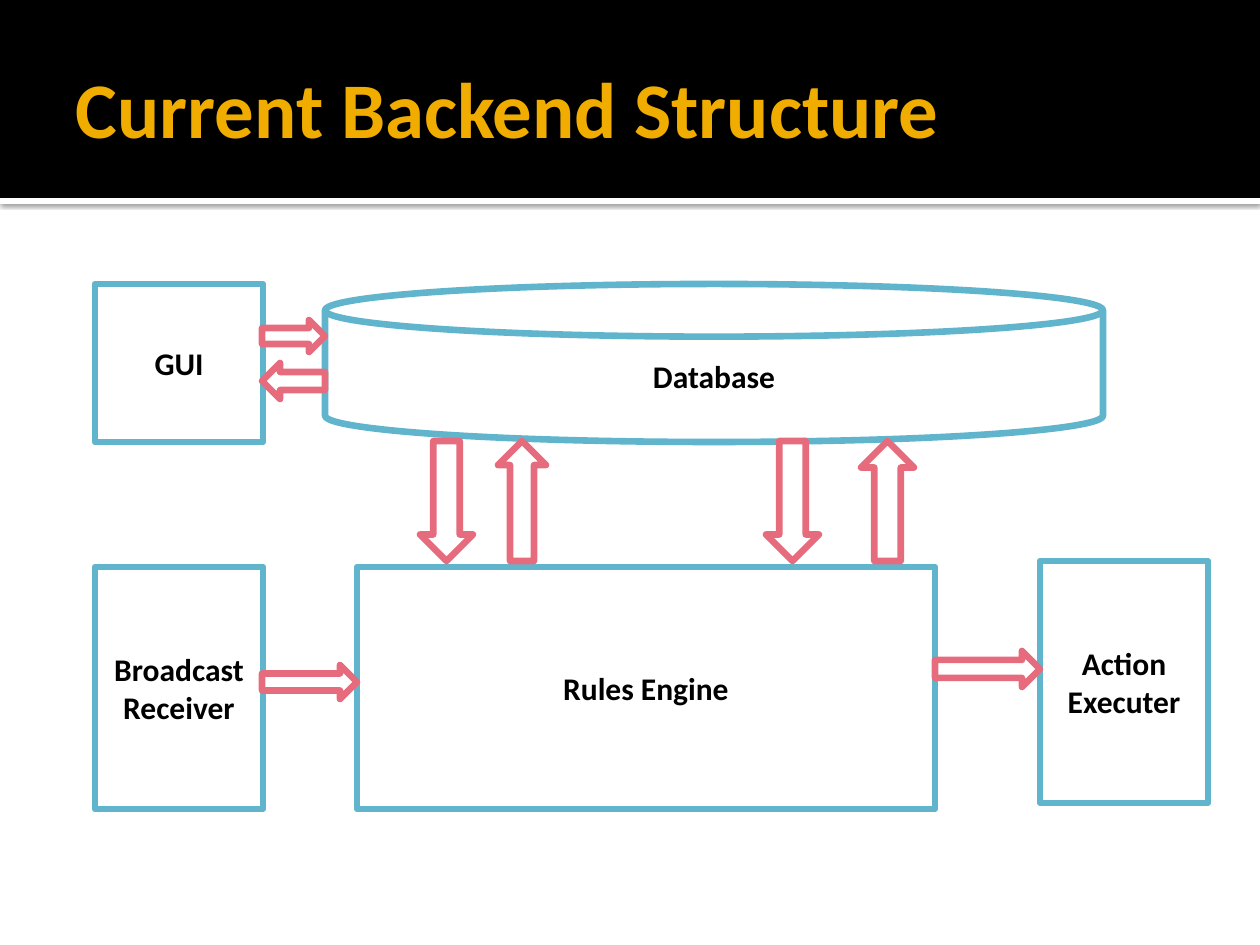
from lxml.etree import SubElement
from pptx import Presentation
from pptx.dml.color import RGBColor
from pptx.enum.shapes import MSO_SHAPE
from pptx.enum.text import MSO_ANCHOR, MSO_AUTO_SIZE, PP_ALIGN
from pptx.oxml.ns import qn
from pptx.util import Emu, Pt

EMU_PER_PX = 914400 / 126
COLORS = {
    "black": "000000",
    "white": "FFFFFF",
    "gold": "F0AD00",
    "blue": "60B5CC",
    "pink": "E66C7D",
}
FONT = "Calibri"
TITLE_ONLY = 5

# Label, preset, (left, top, width, height)
COMPONENTS = [
    ("GUI", MSO_SHAPE.RECTANGLE, (95, 284, 168, 158)),
    ("Broadcast Receiver", MSO_SHAPE.RECTANGLE, (95, 567, 168, 242)),
    ("Rules Engine", MSO_SHAPE.RECTANGLE, (357, 567, 578, 242)),
    ("Action Executer", MSO_SHAPE.RECTANGLE, (1040, 561, 168, 242)),
    ("Database", MSO_SHAPE.FLOWCHART_MAGNETIC_DISK, (325, 284, 778, 158)),
]
# Preset, (left, top, width, height), rotation
ARROWS = [
    (MSO_SHAPE.RIGHT_ARROW, (262, 320, 63, 32), 0),
    (MSO_SHAPE.RIGHT_ARROW, (262, 363, 63, 36), 180),
    (MSO_SHAPE.DOWN_ARROW, (420, 441, 53, 120), 0),
    (MSO_SHAPE.DOWN_ARROW, (498, 441, 48, 120), 180),
    (MSO_SHAPE.DOWN_ARROW, (766, 441, 53, 120), 0),
    (MSO_SHAPE.DOWN_ARROW, (861, 441, 53, 120), 180),
    (MSO_SHAPE.RIGHT_ARROW, (935, 651, 105, 36), 0),
    (MSO_SHAPE.RIGHT_ARROW, (262, 665, 95, 34), 0),
]


def px(length):
    return Emu(round(length * EMU_PER_PX))


def color(name):
    return RGBColor.from_string(COLORS[name])


def add_shape(slide, preset, box, fill, line=None):
    shape = slide.shapes.add_shape(preset, *map(px, box))
    shape.shadow.inherit = False
    shape.fill.solid()
    shape.fill.fore_color.rgb = color(fill)
    if line:
        shape.line.color.rgb = color(line)
        shape.line.width = Pt(3.78)
    else:
        shape.line.fill.background()
    return shape


def format_text(shape, text, size, color_name, alignment):
    frame = shape.text_frame
    frame.text = text
    frame.word_wrap = True
    frame.auto_size = MSO_AUTO_SIZE.NONE
    frame.vertical_anchor = MSO_ANCHOR.MIDDLE
    paragraph = frame.paragraphs[0]
    paragraph.alignment = alignment
    font = paragraph.font
    font.name = FONT
    font.size = Pt(size)
    font.bold = True
    font.color.rgb = color(color_name)


def add_drop_shadow(shape):
    """Cast a soft shadow straight down."""
    effects = shape._element.spPr.find(qn("a:effectLst"))
    shadow = SubElement(effects, qn("a:outerShdw"), blurRad=str(Pt(2.5)),
                        dist=str(Pt(0.8)), dir="5400000", algn="t",
                        rotWithShape="0")
    shade = SubElement(shadow, qn("a:srgbClr"), val=COLORS["black"])
    SubElement(shade, qn("a:alpha"), val="60000")


def add_header(slide, text):
    strip = add_shape(slide, MSO_SHAPE.RECTANGLE, (0, 198, 1260, 6), "white")
    add_drop_shadow(strip)
    add_shape(slide, MSO_SHAPE.RECTANGLE, (0, 0, 1260, 198), "black")

    title = slide.shapes.title
    title.left, title.top, title.width, title.height = map(px, (63, 21, 1134, 173))
    format_text(title, text, 45, "gold", PP_ALIGN.LEFT)
    frame = title.text_frame
    frame.margin_left = px(13)
    frame.margin_right = frame.margin_top = frame.margin_bottom = px(6)
    # The title has to lie in front of the black band.
    slide.shapes._spTree.append(title._element)


def add_component(slide, label, preset, box):
    shape = add_shape(slide, preset, box, "white", "blue")
    format_text(shape, label, 18, "black", PP_ALIGN.CENTER)


def add_block_arrow(slide, preset, box, rotation):
    arrow = add_shape(slide, preset, box, "white", "pink")
    arrow.rotation = rotation


def main():
    presentation = Presentation()
    presentation.slide_width = px(1260)
    presentation.slide_height = px(945)
    slide = presentation.slides.add_slide(presentation.slide_layouts[TITLE_ONLY])

    add_header(slide, "Current Backend Structure")
    for component in COMPONENTS:
        add_component(slide, *component)
    for arrow in ARROWS:
        add_block_arrow(slide, *arrow)

    presentation.save("out.pptx")


if __name__ == "__main__":
    main()
